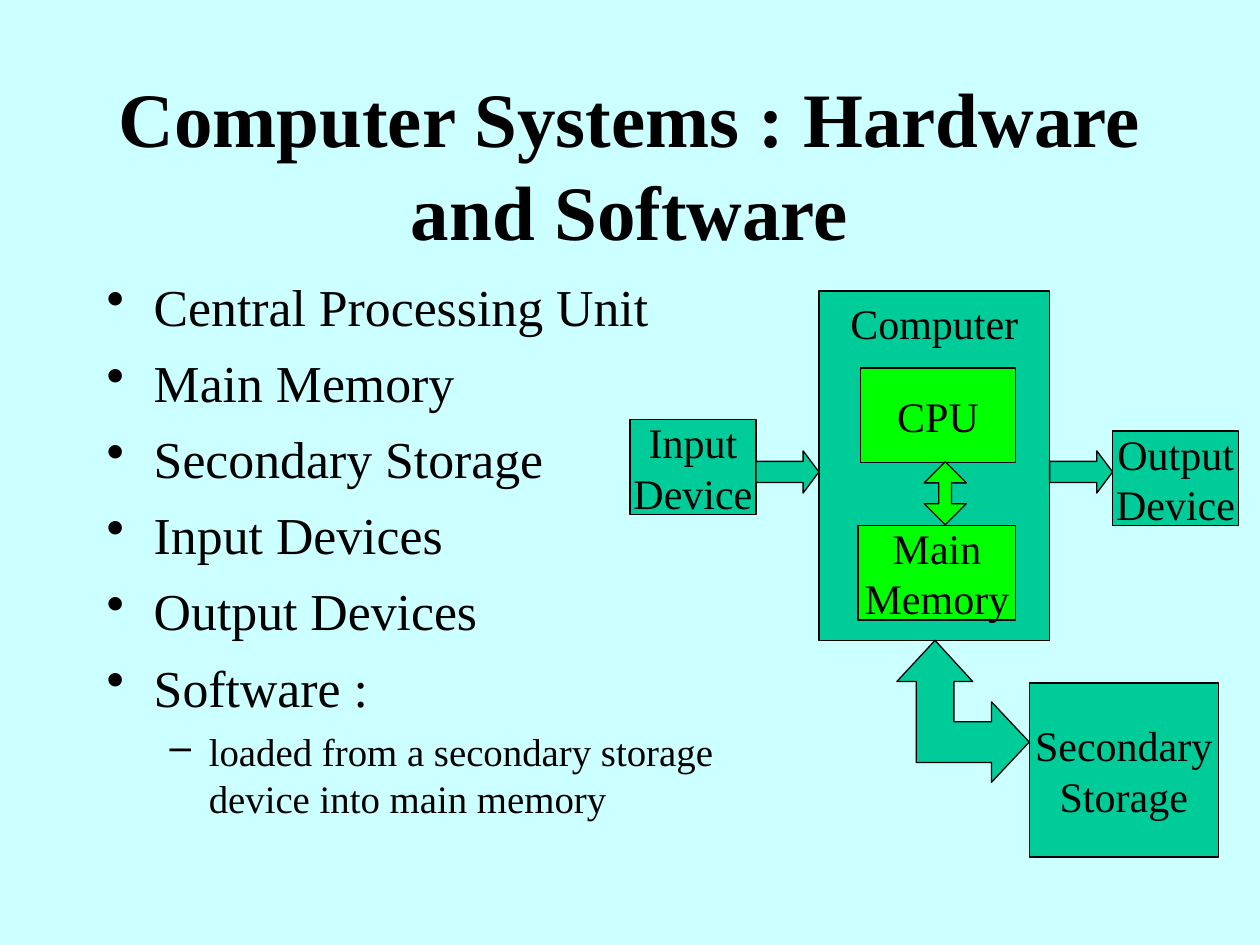
from lxml import etree
from pptx import Presentation
from pptx.dml.color import RGBColor
from pptx.enum.shapes import MSO_SHAPE
from pptx.enum.text import MSO_ANCHOR, MSO_AUTO_SIZE, PP_ALIGN
from pptx.oxml.ns import qn
from pptx.util import Cm, Pt

BLACK = RGBColor(0x00, 0x00, 0x00)
PALE_CYAN = RGBColor(0xCC, 0xFF, 0xFF)
TEAL = RGBColor(0x00, 0xCC, 0x99)
GREEN = RGBColor(0x00, 0xFF, 0x00)
FONT = "Times New Roman"
CENTER = PP_ALIGN.CENTER
TOP, MIDDLE = MSO_ANCHOR.TOP, MSO_ANCHOR.MIDDLE
NO_AUTOFIT = MSO_AUTO_SIZE.NONE
RECT = MSO_SHAPE.RECTANGLE
RIGHT_ARROW = MSO_SHAPE.RIGHT_ARROW
UP_DOWN_ARROW = MSO_SHAPE.UP_DOWN_ARROW


def style_text(p, size, bold=False):
    for r in p.runs:
        r.font.name = FONT
        r.font.size = Pt(size)
        r.font.bold = bold
        r.font.color.rgb = BLACK


def style_shape(sp, color):
    sp.shadow.inherit = False
    sp.fill.solid()
    sp.fill.fore_color.rgb = color
    sp.line.color.rgb = BLACK
    sp.line.width = Pt(0.75)


prs = Presentation()
prs.slide_width, prs.slide_height = Cm(25.4), Cm(19.05)
s = prs.slides.add_slide(prs.slide_layouts[5])
s.background.fill.solid()
s.background.fill.fore_color.rgb = PALE_CYAN

# Title
title = s.shapes.title
title.left, title.top, title.width, title.height = Cm(1.9), Cm(1.7), Cm(21.59), Cm(3.18)
tf = title.text_frame
tf.text = "Computer Systems : Hardware and Software"
tf.auto_size = NO_AUTOFIT
tf.vertical_anchor = MIDDLE
tf.paragraphs[0].alignment = CENTER
style_text(tf.paragraphs[0], 44, bold=True)

# Bullet list: level, text
bullets = [
    (0, "Central Processing Unit"),
    (0, "Main Memory"),
    (0, "Secondary Storage"),
    (0, "Input Devices"),
    (0, "Output Devices"),
    (0, "Software :"),
    (1, "loaded from a secondary storage device into main memory"),
]
# Per level: bullet, size, space before, left margin, hanging indent
levels = [("•", 29.6, 8, 0.95, 0.95), ("–", 22.2, 6, 2.06, 0.79)]
tf = s.shapes.add_textbox(Cm(1.9), Cm(5.41), Cm(12.75), Cm(11.43)).text_frame
tf.word_wrap = True
for i, (level, text) in enumerate(bullets):
    char, size, before, margin, hanging = levels[level]
    p = tf.add_paragraph() if i else tf.paragraphs[0]
    p.text = text
    p.level = level
    p.space_before = Pt(before)
    style_text(p, size)
    pPr = p._p.get_or_add_pPr()
    pPr.set("marL", str(Cm(margin)))
    pPr.set("indent", str(-Cm(hanging)))
    etree.SubElement(pPr, qn("a:buChar")).set("char", char)

# Boxes: text, left, top, width, height, colour, anchor
boxes = [
    ("Computer", 16.51, 5.87, 4.65, 7.04, TEAL, TOP),
    ("Input\nDevice", 12.7, 8.46, 2.54, 1.91, TEAL, MIDDLE),
    ("Main\nMemory", 17.3, 10.59, 3.18, 1.91, GREEN, MIDDLE),
    ("CPU", 17.35, 7.42, 3.12, 1.91, GREEN, MIDDLE),
    ("Output\nDevice", 22.43, 8.69, 2.54, 1.91, TEAL, MIDDLE),
    ("Secondary\nStorage", 20.75, 13.77, 3.81, 3.51, TEAL, MIDDLE),
]
for text, x, y, w, h, color, anchor in boxes:
    sp = s.shapes.add_shape(RECT, Cm(x), Cm(y), Cm(w), Cm(h))
    style_shape(sp, color)
    tf = sp.text_frame
    tf.text = text
    tf.word_wrap = False
    tf.vertical_anchor = anchor
    for p in tf.paragraphs:
        p.alignment = CENTER
        style_text(p, 24)

# Bent double arrow between the computer and secondary storage
corners = [
    (18.85, 12.91), (19.61, 13.74), (19.23, 13.74), (19.23, 14.55),
    (19.99, 14.55), (19.99, 14.15), (20.75, 14.96), (19.99, 15.77),
    (19.99, 15.37), (18.47, 15.37), (18.47, 13.74), (18.08, 13.74),
]
points = [(Cm(x), Cm(y)) for x, y in corners]
builder = s.shapes.build_freeform(*points[0])
builder.add_line_segments(points[1:], close=True)
style_shape(builder.convert_to_shape(), TEAL)

# Straight arrows: kind, left, top, width, height, head length, colour
arrows = [
    (RIGHT_ARROW, 21.16, 9.09, 1.27, 0.85, 0.75 / 2, TEAL),
    (RIGHT_ARROW, 15.24, 9.09, 1.27, 0.85, 0.75 / 2, TEAL),
    (UP_DOWN_ARROW, 18.63, 9.31, 0.85, 1.27, 0.3, GREEN),
]
for kind, x, y, w, h, head, color in arrows:
    sp = s.shapes.add_shape(kind, Cm(x), Cm(y), Cm(w), Cm(h))
    sp.adjustments[0] = 0.5
    sp.adjustments[1] = head
    style_shape(sp, color)

prs.save("out.pptx")
